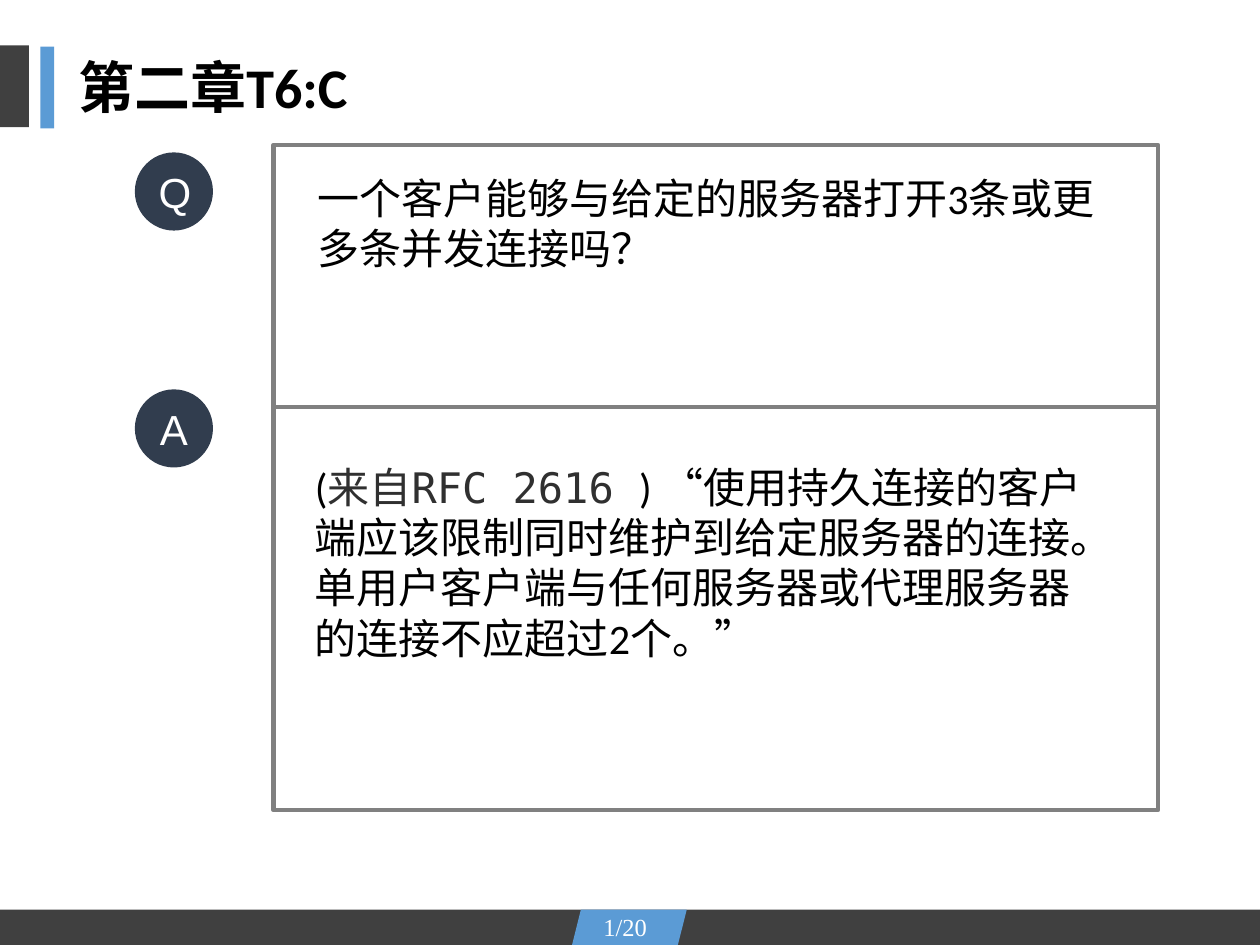
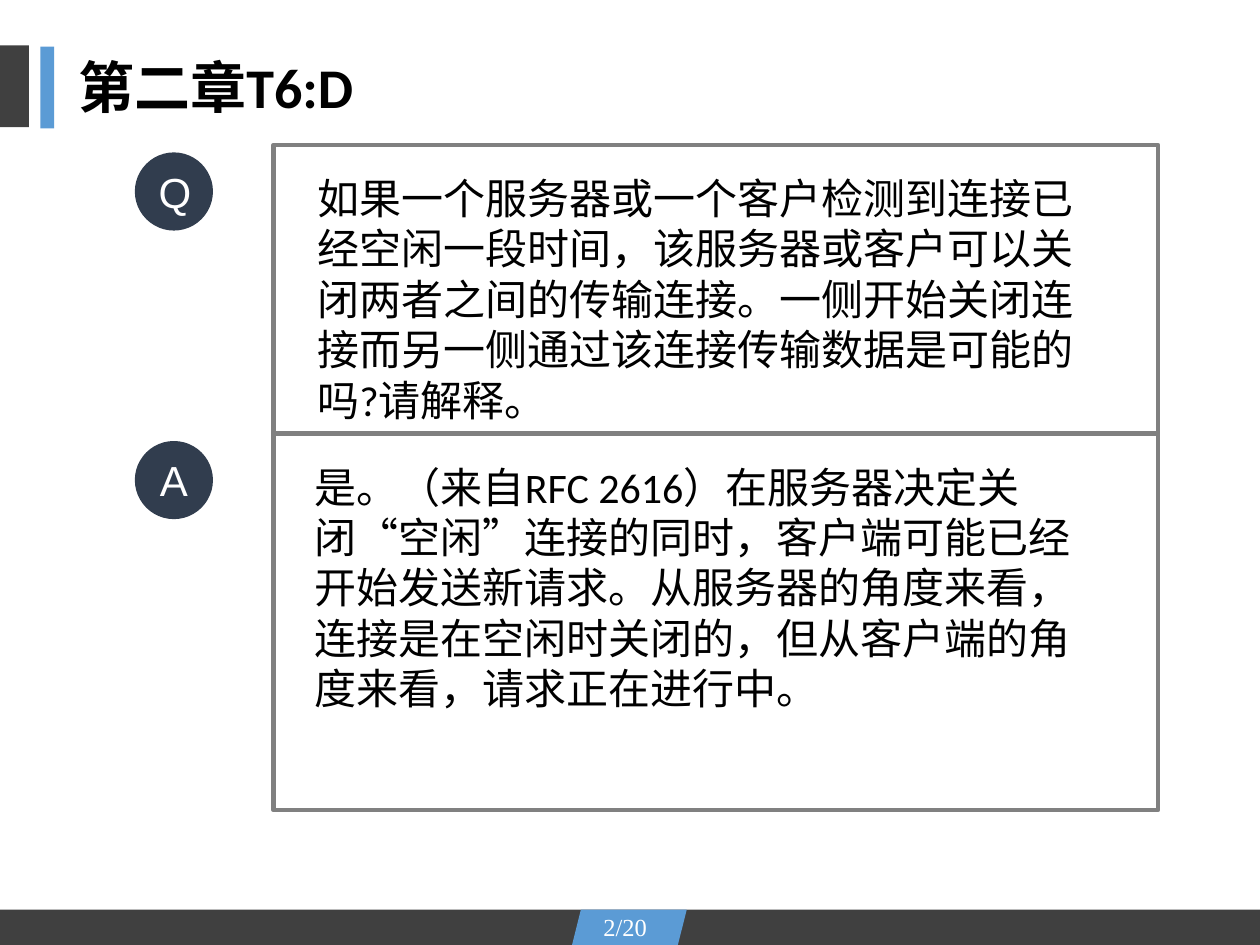
from dataclasses import dataclass

from lxml import etree
from pptx import Presentation
from pptx import util as u
from pptx.dml.color import RGBColor
from pptx.enum import shapes, text
from pptx.oxml.ns import qn

COLUMNS, ROWS = 100, 75
CELL = u.Inches(0.1)
TOTAL_PAGES = 20

CHARCOAL = RGBColor(0x40, 0x40, 0x40)
BLUE = RGBColor(0x5B, 0x9B, 0xD5)
NAVY = RGBColor(0x31, 0x3D, 0x4E)
GREY = RGBColor(0x80, 0x80, 0x80)
INK = RGBColor(0x30, 0x30, 0x30)
BLACK = RGBColor(0, 0, 0)
WHITE = RGBColor(0xFF, 0xFF, 0xFF)

BODY_FONT, BADGE_FONT = "Calibri", "Arial"
PAGE_FONT, CODE_FONT = "Times New Roman", "DejaVu Sans Mono"


@dataclass
class Box:
    """A region measured in grid columns and rows."""
    left: float
    top: float
    width: float
    height: float

    def inner(self, left, top, width, height):
        """Return a box placed from this box's top left corner."""
        return Box(self.left + left, self.top + top, width, height)

    def emu(self):
        """Return left, top, width and height as slide lengths."""
        return [round(n * CELL) for n in (self.left, self.top, self.width, self.height)]


HEADER = Box(0, 3.6, COLUMNS, 6.6)
FOOTER = Box(0, 72.2, COLUMNS, 2.8)
CARD = Box(21.7, 11.5, 70.2, 52.8)

EXERCISES = [
    dict(
        title="第二章T6:C",
        question=[("一个客户能够与给定的服务器打开3条或更多条并发连接吗？", BODY_FONT, BLACK)],
        answer=[
            ("(", BODY_FONT, BLACK),
            ("来自RFC 2616\u00a0", CODE_FONT, INK),
            (") “使用持久连接的客户端应该限制同时维护到给定服务器的连接。"
             "单用户客户端与任何服务器或代理服务器的连接不应超过2个。”", BODY_FONT, BLACK),
        ],
        divider_row=20.8,
        answer_badge_row=19.4,
    ),
    dict(
        title="第二章T6:D",
        question=[("如果一个服务器或一个客户检测到连接已经空闲一段时间，该服务器或客户可以关闭"
                   "两者之间的传输连接。一侧开始关闭连接而另一侧通过该连接传输数据是可能的吗?"
                   "请解释。", BODY_FONT, BLACK)],
        answer=[("是。（来自RFC 2616）在服务器决定关闭“空闲”连接的同时，客户端可能已经"
                 "开始发送新请求。从服务器的角度来看，连接是在空闲时关闭的，但从客户端的角度"
                 "来看，请求正在进行中。", BODY_FONT, BLACK)],
        divider_row=22.9,
        answer_badge_row=23.5,
    ),
]


def style(font, name, size, color, bold=False):
    """Set the look of a font."""
    font.name, font.size, font.bold = name, u.Pt(size), bold
    font.color.rgb = color


def add_block(slide, kind, box, fill):
    """Add a flat, borderless preset shape."""
    block = slide.shapes.add_shape(kind, *box.emu())
    block.shadow.inherit = False
    block.fill.solid()
    block.fill.fore_color.rgb = fill
    block.line.fill.background()
    return block


def add_passage(slide, box, pieces, size):
    """Add one wrapped paragraph made of (words, font, colour) pieces."""
    frame = slide.shapes.add_textbox(*box.emu()).text_frame
    frame.word_wrap = True
    paragraph = frame.paragraphs[0]
    for words, name, color in pieces:
        run = paragraph.add_run()
        run.text = words
        style(run.font, name, size, color)


def add_header(slide, box, title):
    """Place the two accent bars and the slide title."""
    bar = shapes.MSO_SHAPE.RECTANGLE
    add_block(slide, bar, box.inner(0, 0, 2.3, 6.5), CHARCOAL)
    add_block(slide, bar, box.inner(3.2, 0.1, 1.1, 6.5), BLUE)
    heading = slide.shapes.title
    heading.left, heading.top, heading.width, heading.height = box.inner(5.2, 0.1, 81.7, 6.4).emu()
    frame = heading.text_frame
    frame.text = title
    frame.auto_size = text.MSO_AUTO_SIZE.NONE
    frame.vertical_anchor = text.MSO_ANCHOR.TOP
    paragraph = frame.paragraphs[0]
    paragraph.alignment = text.PP_ALIGN.LEFT
    style(paragraph.font, BODY_FONT, 32, BLACK, bold=True)


def add_footer(slide, box, page):
    """Place the bottom band with its page tab."""
    add_block(slide, shapes.MSO_SHAPE.RECTANGLE, box, CHARCOAL)
    tab = add_block(slide, shapes.MSO_SHAPE.PARALLELOGRAM,
                    box.inner(45.4, 0, 9.1, box.height), BLUE)
    tab.adjustments[0] = 0.25
    add_passage(slide, box.inner(46.9, -0.3, 6.1, 3.4),
                [(f"{page}/{TOTAL_PAGES}", PAGE_FONT, WHITE)], 14)


def add_badge(slide, box, letter):
    """Place a round letter badge."""
    badge = add_block(slide, shapes.MSO_SHAPE.OVAL, box, NAVY)
    frame = badge.text_frame
    frame.text = letter
    frame.vertical_anchor = text.MSO_ANCHOR.MIDDLE
    paragraph = frame.paragraphs[0]
    paragraph.alignment = text.PP_ALIGN.CENTER
    style(paragraph.font, BADGE_FONT, 24, WHITE)


def outline(line):
    """Give a line the card's border style."""
    line.color.rgb = GREY
    line.width = u.Pt(2.5)


def add_card(slide, box, question, answer, divider_row, answer_badge_row):
    """Place the framed question and answer with their badges."""
    add_passage(slide, box.inner(2.5, 1.7, 65.2, 21.2), question, 24)
    for letter, row in (("Q", 0.6), ("A", answer_badge_row)):
        add_badge(slide, box.inner(-11, row, 6.2, 6.2), letter)
    frame = slide.shapes.add_shape(shapes.MSO_SHAPE.RECTANGLE, *box.emu())
    frame.shadow.inherit = False
    frame.fill.background()
    outline(frame.line)
    add_passage(slide, box.inner(2.3, 24.6, 62.9, 21.2), answer, 24)
    left, top, width, _ = box.inner(0, divider_row, box.width, 0).emu()
    divider = slide.shapes.add_connector(
        shapes.MSO_CONNECTOR.STRAIGHT, left, top, left + width, top)
    outline(divider.line)
    etree.SubElement(divider._element.spPr, qn("a:effectLst"))


def add_exercise(deck, page, title, **card):
    """Build one question and answer slide."""
    slide = deck.slides.add_slide(deck.slide_layouts.get_by_name("Title Only"))
    add_header(slide, HEADER, title)
    add_footer(slide, FOOTER, page)
    add_card(slide, CARD, **card)


def main():
    """Build and save the deck."""
    deck = Presentation()
    deck.slide_width, deck.slide_height = COLUMNS * CELL, ROWS * CELL
    for page, exercise in enumerate(EXERCISES, start=1):
        add_exercise(deck, page, **exercise)
    deck.save("out.pptx")


if __name__ == "__main__":
    main()
